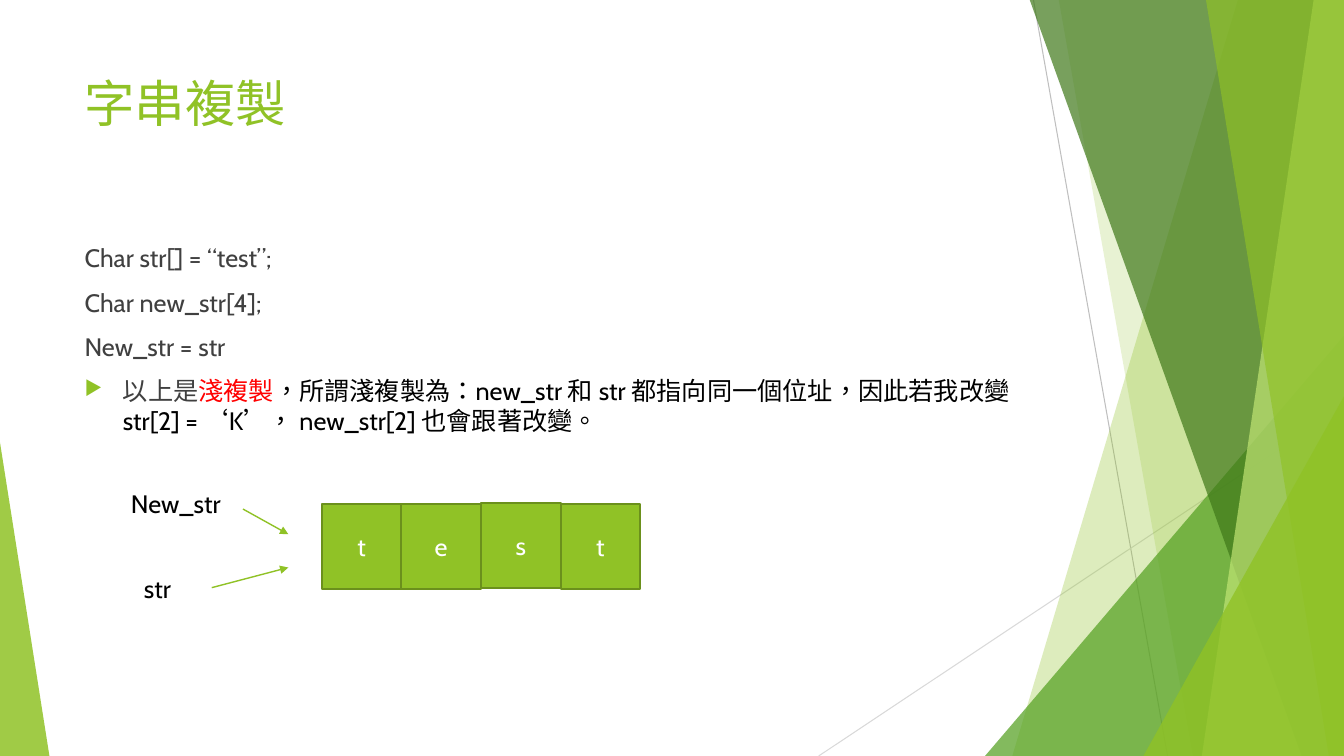
"""Build a slide on shallow string copies, with green facets at the sides."""
from lxml.etree import SubElement
from pptx import Presentation
from pptx.dml.color import RGBColor
from pptx.enum.lang import MSO_LANGUAGE_ID
from pptx.enum.shapes import MSO_CONNECTOR, MSO_SHAPE
from pptx.enum.text import MSO_ANCHOR, PP_ALIGN
from pptx.oxml.ns import qn
from pptx.util import Inches, Pt

GREEN, BLACK, GREY = "90C226", "000000", "404040"
WIDE, HIGH = 13.33, 7.5


def paint(fill, tint, alpha=100):
    fill.solid()
    fill.fore_color.rgb = RGBColor.from_string(tint)
    if alpha < 100:
        node = fill._xPr.find(qn("a:solidFill"))[0]
        SubElement(node, qn("a:alpha"), val=str(alpha * 1000))


def write(para, text, tint, size=18):
    run = para.add_run()
    run.text = text
    look = {"name": "Cabin", "size": Pt(size),
            "language_id": MSO_LANGUAGE_ID.TRADITIONAL_CHINESE}
    for key, value in look.items():
        setattr(run.font, key, value)
    paint(run.font.fill, tint)


deck = Presentation()
deck.slide_width, deck.slide_height = Inches(WIDE), Inches(HIGH)
slide = deck.slides.add_slide(deck.slide_layouts[6])
shapes = slide.shapes

lines = [
    (10.25, 0, 11.58, HIGH, "BFBFBF", 0.75, False),
    (WIDE, 4.03, 8.12, HIGH, "D9D9D9", 0.75, False),
    (2.41, 5.05, 2.86, 5.3, GREEN, 1, True),
    (2.1, 5.83, 2.86, 5.63, GREEN, 1, True),
]
for *ends, tint, width, arrow in lines:
    line = shapes.add_connector(MSO_CONNECTOR.STRAIGHT, *map(Inches, ends))
    paint(line.line.fill, tint)
    line.line.width = Pt(width)
    if arrow:
        SubElement(line.line._get_or_add_ln(), qn("a:tailEnd"), type="triangle")
    SubElement(line._element.spPr, qn("a:effectLst"))

facets = [
    ("band", 12.28, 10.04, GREEN, 30),
    ("band", 10.5, 11.83, GREEN, 20),
    ("right", 9.77, 3.33, "54A021", 72),
    ("band", 10.21, 12.91, "3F7819", 70),
    ("band", 13.03, 11.92, "C0E474", 70),
    ("band", 11.96, 13.18, GREEN, 65),
    ("right", 11.34, 3.93, GREEN, 80),
    ("left", 0.49, 4.39, GREEN, 85),
]
for kind, first, second, tint, alpha in facets:
    if kind == "band":
        pen = shapes.build_freeform(Inches(first), Inches(-0.01))
        spots = [(WIDE, -0.01), (WIDE, HIGH), (second, HIGH)]
        pen.add_line_segments([(Inches(x), Inches(y)) for x, y in spots])
        facet = pen.convert_to_shape()
    else:
        left, right = (first, WIDE) if kind == "right" else (0, first)
        box = left, second, right - left, HIGH - second
        facet = shapes.add_shape(MSO_SHAPE.ISOSCELES_TRIANGLE, *map(Inches, box))
        facet.adjustments[0] = 1 if kind == "right" else 0
    facet.shadow.inherit = False
    paint(facet.fill, tint, alpha)
    facet.line.fill.background()

title = shapes.add_textbox(*map(Inches, (0.74, 0.67, 9.4, 1.44))).text_frame
title.word_wrap = True
write(title.paragraphs[0], "字串複製", GREEN, 36)

body = shapes.add_textbox(*map(Inches, (0.74, 2.36, 9.4, 4.24))).text_frame
body.word_wrap = True
rows = [
    [("Char str[] = “test”;", GREY)],
    [("Char new_str[4];", GREY)],
    [("New_str = str", GREY)],
    [("以上是", GREY), ("淺複製", "FF0000"),
     ("，所謂淺複製為：new_str 和 str 都指向同一個位址，因此若我改變 "
      "str[2] = ‘K’， new_str[2] 也會跟著改變。", BLACK)],
]
for spot, row in enumerate(rows):
    para = body.paragraphs[0] if spot == 0 else body.add_paragraph()
    para.space_before = Pt(10)
    for text, tint in row:
        write(para, text, tint)

props = para._p.get_or_add_pPr()
props.set("marL", str(Inches(0.38)))
props.set("indent", str(-Inches(0.38)))
hue = SubElement(props, qn("a:buClr"))
SubElement(hue, qn("a:srgbClr"), val=GREEN)
SubElement(props, qn("a:buSzPct"), val="80000")
SubElement(props, qn("a:buChar"), char="▶")

side = 0.79
cells = [(0, 5, "t"), (1, 5, "e"), (3, 5, "t"), (2, 4.99, "s")]
for spot, top, text in cells:
    box = 3.19 + spot * side, top, side, 0.84
    cell = shapes.add_shape(MSO_SHAPE.RECTANGLE, *map(Inches, box))
    cell.shadow.inherit = False
    paint(cell.fill, GREEN)
    paint(cell.line.fill, "6B901C")
    cell.line.width = Pt(1.5)
    cell.text_frame.vertical_anchor = MSO_ANCHOR.MIDDLE
    para = cell.text_frame.paragraphs[0]
    para.alignment = PP_ALIGN.CENTER
    write(para, text, "FFFFFF")

labels = [("str", 1.33, 5.64, 0.5), ("New_str", 1.2, 4.8, 1.12)]
for text, left, top, width in labels:
    label = shapes.add_textbox(*map(Inches, (left, top, width, 0.4)))
    label.text_frame.word_wrap = False
    write(label.text_frame.paragraphs[0], text, BLACK)

deck.save("out.pptx")
